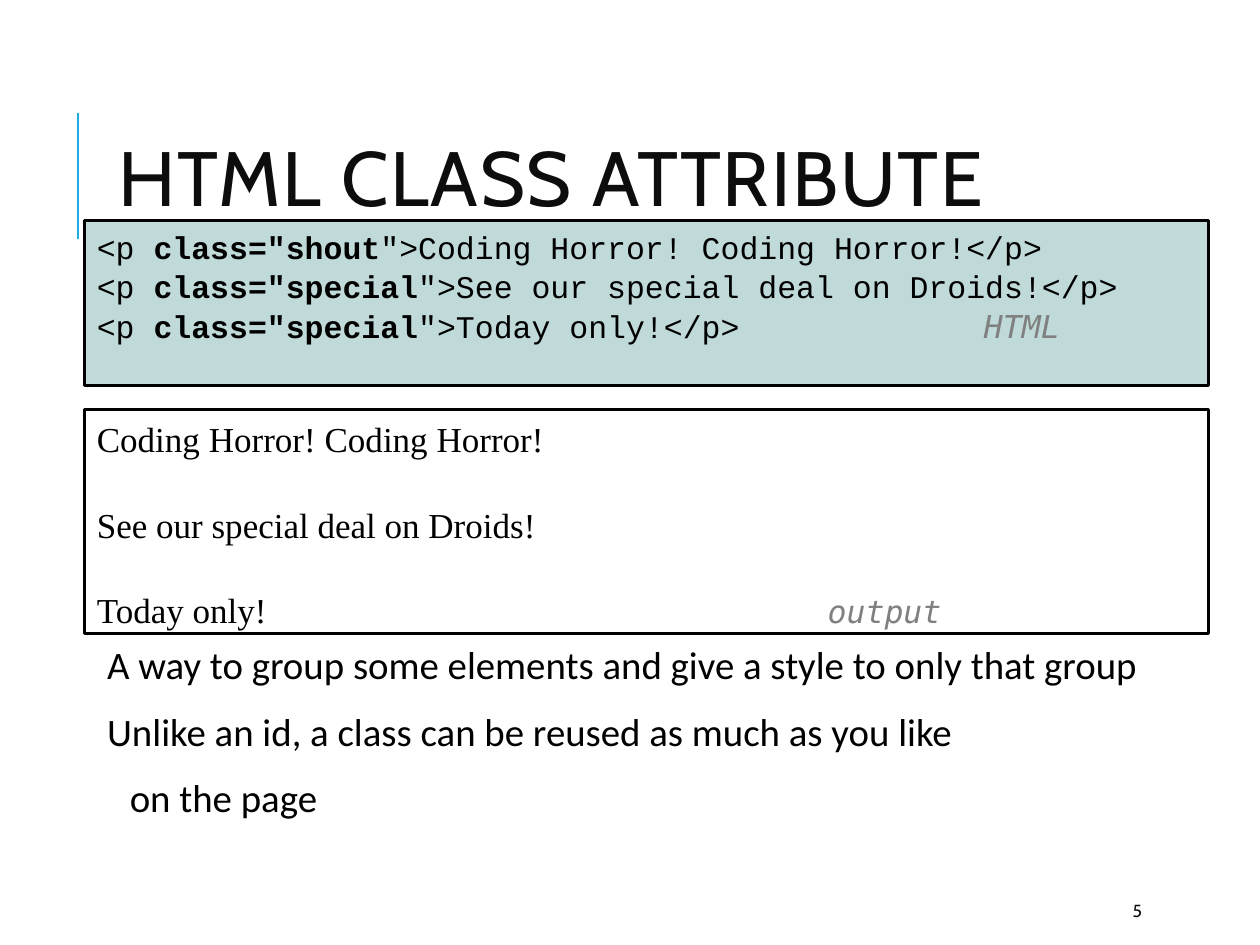
from lxml import etree
from pptx import Presentation
from pptx.dml.color import RGBColor
from pptx.enum.shapes import MSO_CONNECTOR, MSO_SHAPE
from pptx.enum.text import MSO_ANCHOR, MSO_AUTO_SIZE, PP_ALIGN
from pptx.oxml.ns import qn
from pptx.util import Inches, Pt

BLACK = RGBColor(0x00, 0x00, 0x00)
WHITE = RGBColor(0xFF, 0xFF, 0xFF)
INK = RGBColor(0x0D, 0x0D, 0x0D)
GRAY = RGBColor(0x80, 0x80, 0x80)
BLUE = RGBColor(0x1C, 0xAD, 0xE4)
TEAL = RGBColor(0xC0, 0xDA, 0xD9)

HEADING, BODY, CODE = "Cabin", "Calibri", "Courier New"
LABEL, PAGE = "DejaVu Sans Mono", "Times New Roman"

MARKUP = [
    ("shout", "Coding Horror! Coding Horror!"),
    ("special", "See our special deal on Droids!"),
    ("special", "Today only!"),
]


class SlideBuilder:
    def __init__(self, prs):
        self.s = prs.slides.add_slide(prs.slide_layouts[5])

    def run(self, p, text, font, size, color=BLACK, bold=False, italic=False):
        r = p.add_run()
        r.text = text
        f = r.font
        f.name, f.size, f.bold, f.italic = font, Pt(size), bold, italic
        f.color.rgb = color
        return r

    def paragraphs(self, tf, count):
        """Yield count paragraphs, starting with the one already there."""
        yield tf.paragraphs[0]
        for _ in range(count - 1):
            yield tf.add_paragraph()

    def title(self, text, x, y, w, h):
        sp = self.s.shapes.title
        sp.left, sp.top, sp.width, sp.height = map(Inches, (x, y, w, h))
        tf = sp.text_frame
        tf.auto_size = MSO_AUTO_SIZE.NONE
        tf.vertical_anchor = MSO_ANCHOR.MIDDLE
        p = tf.paragraphs[0]
        p.alignment, p.line_spacing = PP_ALIGN.LEFT, 0.8
        r = self.run(p, text, HEADING, 44, INK)
        r._r.get_or_add_rPr().set("spc", "100")

    def rule(self, x, top, bottom):
        line = self.s.shapes.add_connector(
            MSO_CONNECTOR.STRAIGHT, *map(Inches, (x, bottom, x, top)))
        line.line.color.rgb, line.line.width = BLUE, Pt(1.5)
        etree.SubElement(line._element.spPr, qn("a:effectLst"))

    def text_box(self, x, y, w, h, inset=0.1):
        tf = self.s.shapes.add_textbox(*map(Inches, (x, y, w, h))).text_frame
        tf.word_wrap = True
        tf.margin_left = tf.margin_right = Inches(inset)
        return tf

    def panel(self, y, h, fill):
        sp = self.s.shapes.add_shape(
            MSO_SHAPE.RECTANGLE, *map(Inches, (0.67, y, 8.92, h)))
        sp.shadow.inherit = False
        sp.fill.solid()
        sp.fill.fore_color.rgb = fill
        sp.line.color.rgb, sp.line.width = BLACK, Pt(1.5)
        tf = sp.text_frame
        tf.word_wrap, tf.vertical_anchor = True, MSO_ANCHOR.TOP
        return tf

    def panel_lines(self, tf, count, gap=0):
        for i, p in enumerate(self.paragraphs(tf, count)):
            p.alignment, p.line_spacing = PP_ALIGN.LEFT, 1.04
            p.space_before = Pt(gap if i else 0)
            yield p

    def label(self, p, text, offset):
        """Add a grey label at a tab stop, offset inches from the text edge."""
        tabs = etree.SubElement(p._p.get_or_add_pPr(), qn("a:tabLst"))
        etree.SubElement(tabs, qn("a:tab"), pos=str(Inches(offset)), algn="l")
        self.run(p, "\t" + text, LABEL, 18, GRAY, italic=True)

    def code_panel(self, y, h):
        tf = self.panel(y, h, TEAL)
        for p, (name, text) in zip(self.panel_lines(tf, len(MARKUP)), MARKUP):
            self.run(p, "<p ", CODE, 18)
            self.run(p, f'class="{name}', CODE, 18, bold=True)
            self.run(p, f'">{text}</p>', CODE, 18)
        self.label(p, "HTML", 7.04)

    def output_panel(self, y, h):
        tf = self.panel(y, h, WHITE)
        for p, (_, text) in zip(self.panel_lines(tf, len(MARKUP), 24), MARKUP):
            self.run(p, text, PAGE, 20)
        self.label(p, "output", 5.8)

    def body(self, lines, x, y, w, h):
        tf = self.text_box(x, y, w, h, inset=0.05)
        for p, (text, indent) in zip(self.paragraphs(tf, len(lines)), lines):
            p.line_spacing, p.space_before, p.space_after = 0.9, Pt(12), Pt(2)
            p._p.get_or_add_pPr().set("marL", str(Inches(indent)))
            self.run(p, text, BODY, 22.2)

    def page_number(self, text, x, y, w, h):
        tf = self.text_box(x, y, w, h)
        tf.vertical_anchor = MSO_ANCHOR.MIDDLE
        self.run(tf.paragraphs[0], text, HEADING, 10, INK)


def main():
    prs = Presentation()
    prs.slide_width, prs.slide_height = Inches(10), Inches(7.5)
    b = SlideBuilder(prs)
    b.rule(0.62, 0.9, 1.9)
    b.title("HTML CLASS ATTRIBUTE", 0.84, 0.64, 7.97, 1.64)
    b.body([
        ("A way to group some elements and give a style to only that group", 0.1),
        ("Unlike an id, a class can be reused as much as you like", 0.1),
        ("on the page", 0.28),
    ], 0.7, 5.08, 8.92, 1.67)
    b.page_number("5", 8.89, 7.08, 0.8, 0.3)
    b.output_panel(3.25, 1.78)
    b.code_panel(1.75, 1.31)
    prs.save("out.pptx")


if __name__ == "__main__":
    main()
